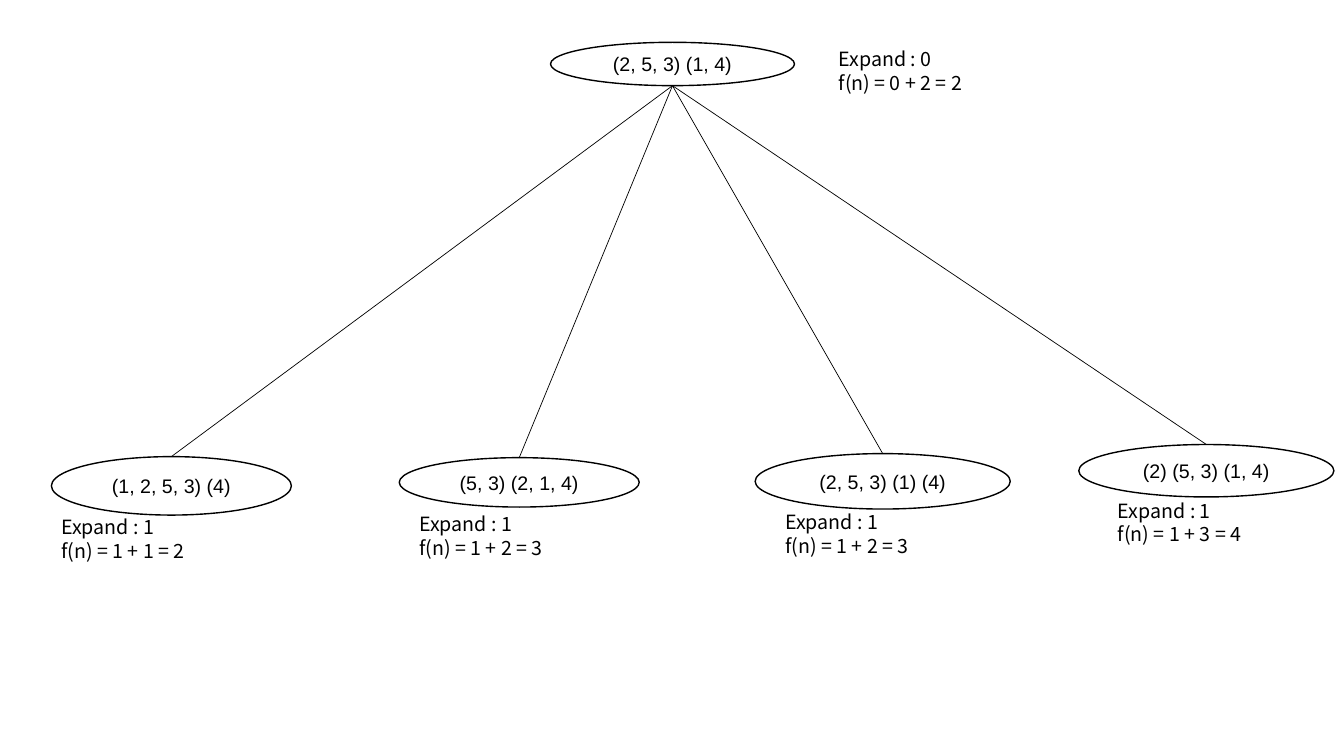
import dataclasses

import lxml.etree
import pptx
import pptx.dml.color
import pptx.enum.shapes
import pptx.enum.text
import pptx.oxml.ns
import pptx.shapes.autoshape
import pptx.slide
import pptx.util

# Grid: each column and row is a tenth of an inch
CELL = pptx.util.Inches(0.1)
COLUMNS, ROWS = 133.3, 75
NOTE_WIDTH, NOTE_HEIGHT = 20.6, 5.7
BLACK, WHITE = "000000", "FFFFFF"
STATE_FONT, NOTE_FONT = "Arial", "Noto Sans CJK KR"


@dataclasses.dataclass(frozen=True)
class Node:
    state: str
    column: float
    row: float
    width: float
    height: float
    note_column: float
    note_row: float
    depth: int
    heuristic: int

    @property
    def center(self) -> float:
        return self.column + self.width / 2

    @property
    def note(self) -> list[str]:
        total = self.depth + self.heuristic
        return [f"Expand : {self.depth}",
                f"f(n) = {self.depth} + {self.heuristic} = {total}"]


ROOT = Node("(2, 5, 3) (1, 4)", 54.6, 4.2, 24.2, 4.3, 82.2, 4.2, 0, 2)
CHILDREN = [
    Node("(1, 2, 5, 3) (4)", 5.1, 45.3, 23.8, 5.8, 5.1, 50.6, 1, 1),
    Node("(5, 3) (2, 1, 4)", 39.6, 45.4, 23.8, 4.9, 40.6, 50.3, 1, 2),
    Node("(2, 5, 3) (1) (4)", 74.9, 45, 25.3, 5.5, 76.9, 50.1, 1, 2),
    Node("(2) (5, 3) (1, 4)", 107, 44.1, 25.3, 5.2, 109.9, 49, 1, 3),
]


def grid(cells: float) -> int:
    return round(cells * CELL)


def color(value: str) -> pptx.dml.color.RGBColor:
    return pptx.dml.color.RGBColor.from_string(value)


def write_lines(shape: pptx.shapes.autoshape.Shape, lines: list[str], font: str,
                alignment: pptx.enum.text.PP_ALIGN) -> None:
    frame = shape.text_frame
    frame.word_wrap = True
    for index, line in enumerate(lines):
        paragraph = frame.add_paragraph() if index else frame.paragraphs[0]
        paragraph.alignment = alignment
        run = paragraph.add_run()
        run.text = line
        run.font.name = font
        run.font.size = pptx.util.Pt(14)
        run.font.color.rgb = color(BLACK)


def draw_state(slide: pptx.slide.Slide, node: Node) -> None:
    shape = slide.shapes.add_shape(
        pptx.enum.shapes.MSO_SHAPE.OVAL, grid(node.column), grid(node.row),
        grid(node.width), grid(node.height))
    shape.shadow.inherit = False
    shape.fill.solid()
    shape.fill.fore_color.rgb = color(WHITE)
    shape.line.color.rgb = color(BLACK)
    shape.line.width = pptx.util.Pt(1)
    shape.text_frame.vertical_anchor = pptx.enum.text.MSO_ANCHOR.MIDDLE
    write_lines(shape, [node.state], STATE_FONT, pptx.enum.text.PP_ALIGN.CENTER)


def draw_branch(slide: pptx.slide.Slide, parent: Node, child: Node) -> None:
    connector = slide.shapes.add_connector(
        pptx.enum.shapes.MSO_CONNECTOR.STRAIGHT,
        grid(parent.center), grid(parent.row + parent.height),
        grid(child.center), grid(child.row))
    connector.line.color.rgb = color(BLACK)
    connector.line.width = pptx.util.Pt(0.5)
    lxml.etree.SubElement(connector._element.spPr, pptx.oxml.ns.qn("a:effectLst"))


def draw_note(slide: pptx.slide.Slide, node: Node) -> None:
    box = slide.shapes.add_textbox(grid(node.note_column), grid(node.note_row),
                                   grid(NOTE_WIDTH), grid(NOTE_HEIGHT))
    box.text_frame.auto_size = pptx.enum.text.MSO_AUTO_SIZE.SHAPE_TO_FIT_TEXT
    write_lines(box, node.note, NOTE_FONT, pptx.enum.text.PP_ALIGN.LEFT)


presentation = pptx.Presentation()
presentation.slide_width = grid(COLUMNS)
presentation.slide_height = grid(ROWS)
slide = presentation.slides.add_slide(presentation.slide_layouts[6])

# States of the search tree
for node in [ROOT, *CHILDREN]:
    draw_state(slide, node)

# Branches from the root to its children
for child in CHILDREN:
    draw_branch(slide, ROOT, child)

# Expansion order and evaluation beside each state
for node in [*CHILDREN, ROOT]:
    draw_note(slide, node)

presentation.save("out.pptx")
